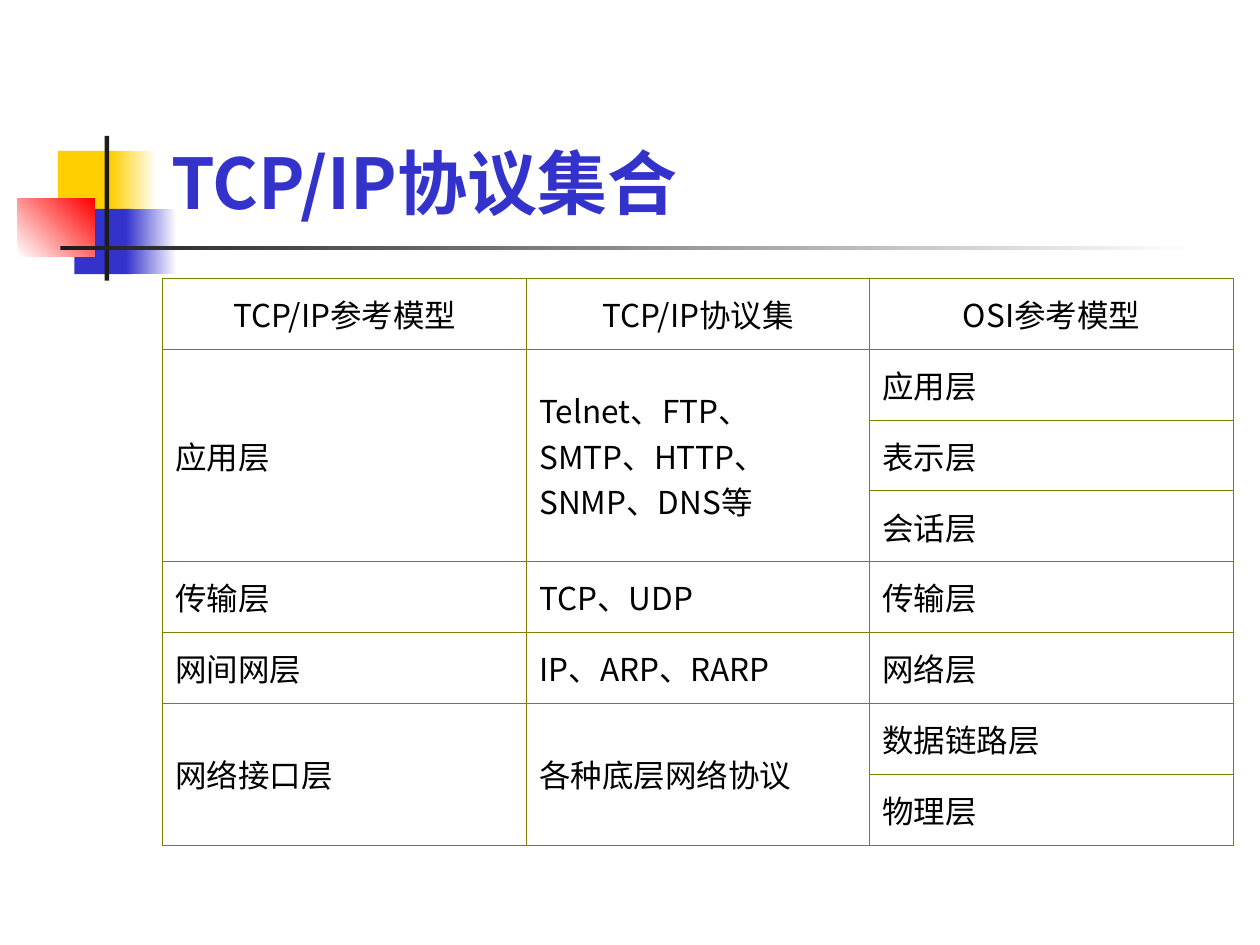
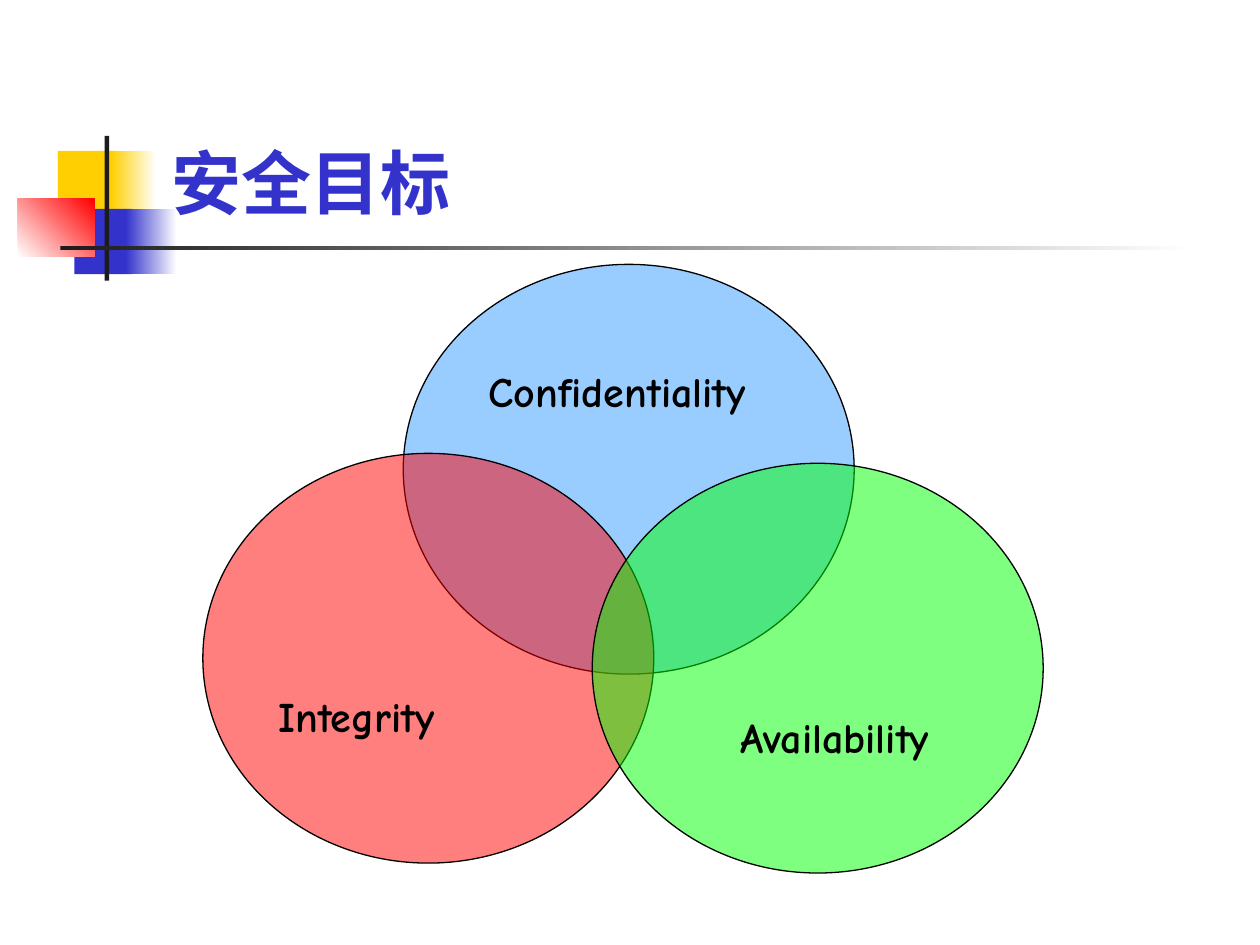
import pptx
import pptx.util
import pptx.dml.color
import pptx.enum.shapes
import pptx.enum.text
import pptx.oxml.ns
import lxml.etree

Cm = pptx.util.Cm
Pt = pptx.util.Pt
MSO_SHAPE = pptx.enum.shapes.MSO_SHAPE
ANCHOR = pptx.enum.text.MSO_ANCHOR
ALIGN = pptx.enum.text.PP_ALIGN
qn = pptx.oxml.ns.qn

COLORS = {
    "white": "FFFFFF",
    "black": "000000",
    "title": "3333CC",
    "yellow": "FFCF01",
    "blue": "3333CC",
    "red": "FF0000",
    "bar": "1C1C1C",
    "border": "808000",
    "sky": "99CCFF",
    "green": "00FF00",
}
CJK_FONT = "Noto Sans CJK SC"
LABEL_FONT = "Comic Neue"
MOTIF_BOX = (0.36, 2.74)
TITLE_BOX = (3.2, 0.58, 21.64, 4.06)
TABLE_BOX = (3.28, 5.61, 21.59, 11.43)
VENN_BOX = (4.09, 5.33)

MOTIF = [
    ((0.81, 0.3, 1.22, 1.32), "yellow", None, 0),
    ((1.88, 0.3, 0.91, 1.32), "yellow", "white", 0),
    ((1.14, 1.47, 1.17, 1.32), "blue", None, 0),
    ((2.18, 1.47, 1.02, 1.32), "blue", "white", 0),
    ((0, 1.27, 1.55, 1.17), "white", "red", 45),
    ((1.75, 0, 0.09, 2.92), "bar", None, 0),
    ((0.86, 2.21, 22.86, 0.09), "bar", "white", 0),
]

LAYER_ROWS = [
    ("TCP/IP参考模型", "TCP/IP协议集", "OSI参考模型"),
    ("应用层", "Telnet、FTP、SMTP、HTTP、SNMP、DNS等", "应用层"),
    (None, None, "表示层"),
    (None, None, "会话层"),
    ("传输层", "TCP、UDP", "传输层"),
    ("网间网层", "IP、ARP、RARP", "网络层"),
    ("网络接口层", "各种底层网络协议", "数据链路层"),
    (None, None, "物理层"),
]
MERGED_ROWS = [(1, 3), (6, 7)]
COLUMN_WIDTHS = (7.34, 6.91, 7.34)

CIRCLE_SIZE = (9.09, 8.26)
GOALS = [
    ("Confidentiality", "sky", 100, (4.04, 0), (5.51, 1.91, 6.78)),
    ("Integrity", "red", 50, (0, 3.81), (1.27, 8.46, 5.51)),
    ("Availability", "green", 50, (7.85, 4.01), (10.59, 8.89, 5.72)),
]


def rgb(name):
    return pptx.dml.color.RGBColor.from_string(COLORS[name])


def place(origin, box):
    x, y, w, h = box
    return Cm(origin[0] + x), Cm(origin[1] + y), Cm(w), Cm(h)


def add_run(p, text, size, font, color="black", bold=False):
    r = p.add_run()
    r.text = text
    r.font.size = Pt(size)
    r.font.bold = bold
    r.font.color.rgb = rgb(color)
    r.font.name = font
    ea = lxml.etree.SubElement(r.font._element, qn("a:ea"))
    ea.set("typeface", font)


def add_motif(slide, origin):
    for box, start, end, angle in MOTIF:
        sp = slide.shapes.add_shape(MSO_SHAPE.RECTANGLE, *place(origin, box))
        sp.shadow.inherit = False
        sp.line.fill.background()
        if end is None:
            sp.fill.solid()
            sp.fill.fore_color.rgb = rgb(start)
        else:
            sp.fill.gradient()
            sp.fill.gradient_angle = angle
            for stop, color in zip(sp.fill.gradient_stops, (start, end)):
                stop.color.rgb = rgb(color)


def add_title(slide, box, text):
    tf = slide.shapes.add_textbox(*place((0, 0), box)).text_frame
    tf.word_wrap = True
    tf.vertical_anchor = ANCHOR.BOTTOM
    add_run(tf.paragraphs[0], text, 40, CJK_FONT, "title", True)


def start_slide(prs, title):
    slide = prs.slides.add_slide(prs.slide_layouts[6])
    add_motif(slide, MOTIF_BOX)
    add_title(slide, TITLE_BOX, title)
    return slide


def style_cell(cell):
    tc_pr = cell._tc.get_or_add_tcPr()
    for side in ("lnL", "lnR", "lnT", "lnB"):
        ln = lxml.etree.SubElement(tc_pr, qn("a:" + side))
        ln.set("w", str(Pt(0.45)))
        fill = lxml.etree.SubElement(ln, qn("a:solidFill"))
        lxml.etree.SubElement(fill, qn("a:srgbClr")).set("val", COLORS["border"])
    cell.fill.background()
    cell.vertical_anchor = ANCHOR.MIDDLE


def add_layer_table(slide, box):
    frame = slide.shapes.add_table(
        len(LAYER_ROWS), len(COLUMN_WIDTHS), *place((0, 0), box))
    table = frame.table
    table.first_row = False
    table.horz_banding = False
    for column, width in zip(table.columns, COLUMN_WIDTHS):
        column.width = Cm(width)
    for i, texts in enumerate(LAYER_ROWS):
        table.rows[i].height = Cm(box[3] / len(LAYER_ROWS))
        for j, text in enumerate(texts):
            cell = table.cell(i, j)
            style_cell(cell)
            if text:
                p = cell.text_frame.paragraphs[0]
                p.alignment = ALIGN.CENTER if i == 0 else ALIGN.LEFT
                add_run(p, text, 18, CJK_FONT)
    for first, last in MERGED_ROWS:
        for j in range(2):
            table.cell(first, j).merge(table.cell(last, j))


def add_circle(shapes, box, color, opacity):
    sp = shapes.add_shape(MSO_SHAPE.OVAL, *box)
    sp.shadow.inherit = False
    sp.fill.solid()
    sp.fill.fore_color.rgb = rgb(color)
    sp.line.color.rgb = rgb("black")
    sp.line.width = Pt(0.75)
    if opacity < 100:
        clr = sp._element.spPr.find(qn("a:solidFill")).find(qn("a:srgbClr"))
        lxml.etree.SubElement(clr, qn("a:alpha")).set("val", str(opacity * 1000))


def add_venn(slide, origin):
    shapes = slide.shapes.add_group_shape().shapes
    for _, color, opacity, offset, _ in GOALS:
        add_circle(shapes, place(origin, offset + CIRCLE_SIZE), color, opacity)
    for name, _, _, _, label_box in GOALS:
        tf = shapes.add_textbox(*place(origin, label_box + (1.27,))).text_frame
        tf.word_wrap = True
        tf.auto_size = pptx.enum.text.MSO_AUTO_SIZE.SHAPE_TO_FIT_TEXT
        add_run(tf.paragraphs[0], name, 24, LABEL_FONT, bold=True)


def main():
    prs = pptx.Presentation()
    prs.slide_width = Cm(25.4)
    prs.slide_height = Cm(19.05)
    add_layer_table(start_slide(prs, "TCP/IP协议集合"), TABLE_BOX)
    add_venn(start_slide(prs, "安全目标"), VENN_BOX)
    prs.save("out.pptx")


if __name__ == "__main__":
    main()
